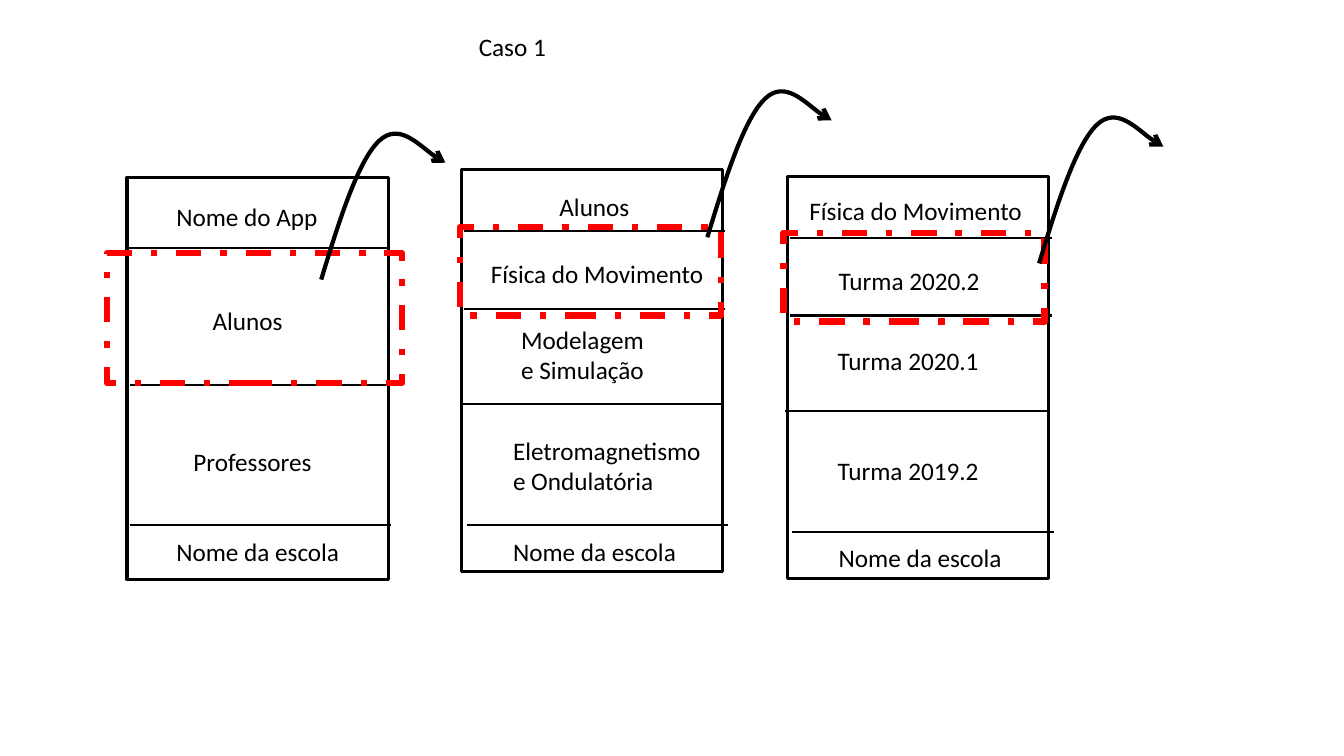
from dataclasses import dataclass

import pptx
import pptx.dml.color
import pptx.enum.dml
import pptx.enum.shapes
import pptx.enum.text
import pptx.oxml
import pptx.oxml.ns
import pptx.shapes.base
import pptx.slide
import pptx.util
from pptx.util import Inches


@dataclass(frozen=True)
class Theme:
    font: str = "Calibri"
    text_size: float = 18
    ink: str = "000000"
    paper: str = "FFFFFF"
    accent: str = "FF0000"
    divider_width: float = 1.5
    frame_width: float = 2.25
    arrow_width: float = 3
    highlight_width: float = 4.5


@dataclass(frozen=True)
class Label:
    text: str
    left: float
    top: float
    width: float
    height: float = 0.4


@dataclass(frozen=True)
class Box:
    left: float
    top: float
    width: float
    height: float


@dataclass(frozen=True)
class Divider:
    left: float
    top: float


@dataclass(frozen=True)
class Screen:
    left: float
    top: float
    dividers: tuple[Divider, ...]
    labels: tuple[Label, ...]
    highlight: Box
    arrow_left: float
    arrow_top: float


THEME = Theme()
SCREEN_WIDTH, SCREEN_HEIGHT = 2.59, 3.99
ARROW_ROTATION = 7.5
ARROW_START = (0, 151)
ARROW_EXTENT = ((39, 0), (107, 20))
ARROW_CURVES = (
    ((10, 90), (21, 29), (39, 7)),
    ((56, -14), (96, 18), (107, 20)),
)

TITLE = Label("Caso 1", 4.65, 0.26, 2.42)
SCREENS = (
    Screen(
        1.26, 1.76,
        (Divider(1.26, 2.46), Divider(1.29, 3.82), Divider(1.29, 5.21)),
        (
            Label("Nome do App", 1.65, 1.95, 2.42),
            Label("Alunos", 2.01, 2.98, 1.02),
            Label("Professores", 1.82, 4.38, 1.52),
            Label("Nome da escola", 1.65, 5.27, 2.42),
        ),
        Box(1.06, 2.51, 2.93, 1.29), 3.28, 1.34,
    ),
    Screen(
        4.58, 1.68,
        (Divider(4.6, 2.29), Divider(4.6, 3.07), Divider(4.56, 4.01), Divider(4.63, 5.21)),
        (
            Label("Alunos", 5.45, 1.85, 2.42),
            Label("Física do Movimento", 4.77, 2.51, 2.53),
            Label("Modelagem e Simulação", 5.07, 3.17, 1.52, 0.71),
            Label("Eletromagnetismo e Ondulatória", 4.99, 4.27, 2.07, 0.71),
            Label("Nome da escola", 4.99, 5.27, 2.42),
        ),
        Box(4.56, 2.25, SCREEN_WIDTH, 0.88), 7.11, 0.92,
    ),
    Screen(
        7.81, 1.75,
        (Divider(7.84, 2.36), Divider(7.84, 3.13), Divider(7.79, 4.08), Divider(7.86, 5.28)),
        (
            Label("Física do Movimento", 7.93, 1.89, 2.53),
            Label("Turma 2020.2", 8.22, 2.58, 1.84),
            Label("Turma 2020.1", 8.21, 3.38, 1.77),
            Label("Turma 2019.2", 8.21, 4.47, 2.07),
            Label("Nome da escola", 8.22, 5.33, 2.42),
        ),
        Box(7.77, 2.31, SCREEN_WIDTH, 0.88), 10.4, 1.18,
    ),
)


def rgb(value: str) -> pptx.dml.color.RGBColor:
    return pptx.dml.color.RGBColor.from_string(value)


def set_line(shape: pptx.shapes.base.BaseShape, color: str, width: float) -> None:
    shape.line.color.rgb = rgb(color)
    shape.line.width = pptx.util.Pt(width)


def add_label(slide: pptx.slide.Slide, label: Label) -> None:
    shape = slide.shapes.add_textbox(
        Inches(label.left), Inches(label.top), Inches(label.width), Inches(label.height)
    )
    frame = shape.text_frame
    frame.word_wrap = True
    frame.auto_size = pptx.enum.text.MSO_AUTO_SIZE.SHAPE_TO_FIT_TEXT
    run = frame.paragraphs[0].add_run()
    run.text = label.text
    run.font.name = THEME.font
    run.font.size = pptx.util.Pt(THEME.text_size)
    run.font.color.rgb = rgb(THEME.ink)


def add_box(
    slide: pptx.slide.Slide, box: Box, color: str, width: float
) -> pptx.shapes.base.BaseShape:
    shape = slide.shapes.add_shape(
        pptx.enum.shapes.MSO_SHAPE.RECTANGLE,
        Inches(box.left), Inches(box.top), Inches(box.width), Inches(box.height),
    )
    shape.shadow.inherit = False
    shape.fill.background()
    set_line(shape, color, width)
    return shape


def add_divider(slide: pptx.slide.Slide, divider: Divider) -> None:
    connector = slide.shapes.add_connector(
        pptx.enum.shapes.MSO_CONNECTOR.STRAIGHT,
        Inches(divider.left), Inches(divider.top),
        Inches(divider.left + SCREEN_WIDTH), Inches(divider.top),
    )
    set_line(connector, THEME.ink, THEME.divider_width)
    pptx.oxml.xmlchemy.OxmlElement("a:effectLst")
    connector._element.spPr.append(pptx.oxml.xmlchemy.OxmlElement("a:effectLst"))


def add_arrow(slide: pptx.slide.Slide, left: float, top: float) -> None:
    builder = slide.shapes.build_freeform(*ARROW_START, scale=Inches(0.01))
    builder.add_line_segments(ARROW_EXTENT, close=False)
    shape = builder.convert_to_shape(Inches(left), Inches(top))
    shape.rotation = ARROW_ROTATION
    shape.shadow.inherit = False
    shape.fill.background()
    set_line(shape, THEME.ink, THEME.arrow_width)

    outline = next(shape._element.iter(pptx.oxml.ns.qn("a:path")))
    for segment in outline.findall(pptx.oxml.ns.qn("a:lnTo")):
        outline.remove(segment)
    for points in ARROW_CURVES:
        curve = pptx.oxml.xmlchemy.OxmlElement("a:cubicBezTo")
        for x, y in points:
            point = pptx.oxml.xmlchemy.OxmlElement("a:pt")
            point.set("x", str(x))
            point.set("y", str(y))
            curve.append(point)
        outline.append(curve)

    arrowhead = pptx.oxml.xmlchemy.OxmlElement("a:tailEnd")
    arrowhead.set("type", "arrow")
    shape.line._get_or_add_ln().append(arrowhead)


def add_screen(slide: pptx.slide.Slide, screen: Screen) -> None:
    box = Box(screen.left, screen.top, SCREEN_WIDTH, SCREEN_HEIGHT)
    frame = add_box(slide, box, THEME.ink, THEME.frame_width)
    frame.fill.solid()
    frame.fill.fore_color.rgb = rgb(THEME.paper)
    for divider in screen.dividers:
        add_divider(slide, divider)
    for label in screen.labels:
        add_label(slide, label)
    highlight = add_box(slide, screen.highlight, THEME.accent, THEME.highlight_width)
    highlight.line.dash_style = pptx.enum.dml.MSO_LINE.DASH_DOT
    add_arrow(slide, screen.arrow_left, screen.arrow_top)


def main() -> None:
    presentation = pptx.Presentation()
    presentation.slide_width = Inches(13.33)
    presentation.slide_height = Inches(7.5)
    slide = presentation.slides.add_slide(presentation.slide_layouts[6])
    add_label(slide, TITLE)
    for screen in SCREENS:
        add_screen(slide, screen)
    presentation.save("out.pptx")


if __name__ == "__main__":
    main()
